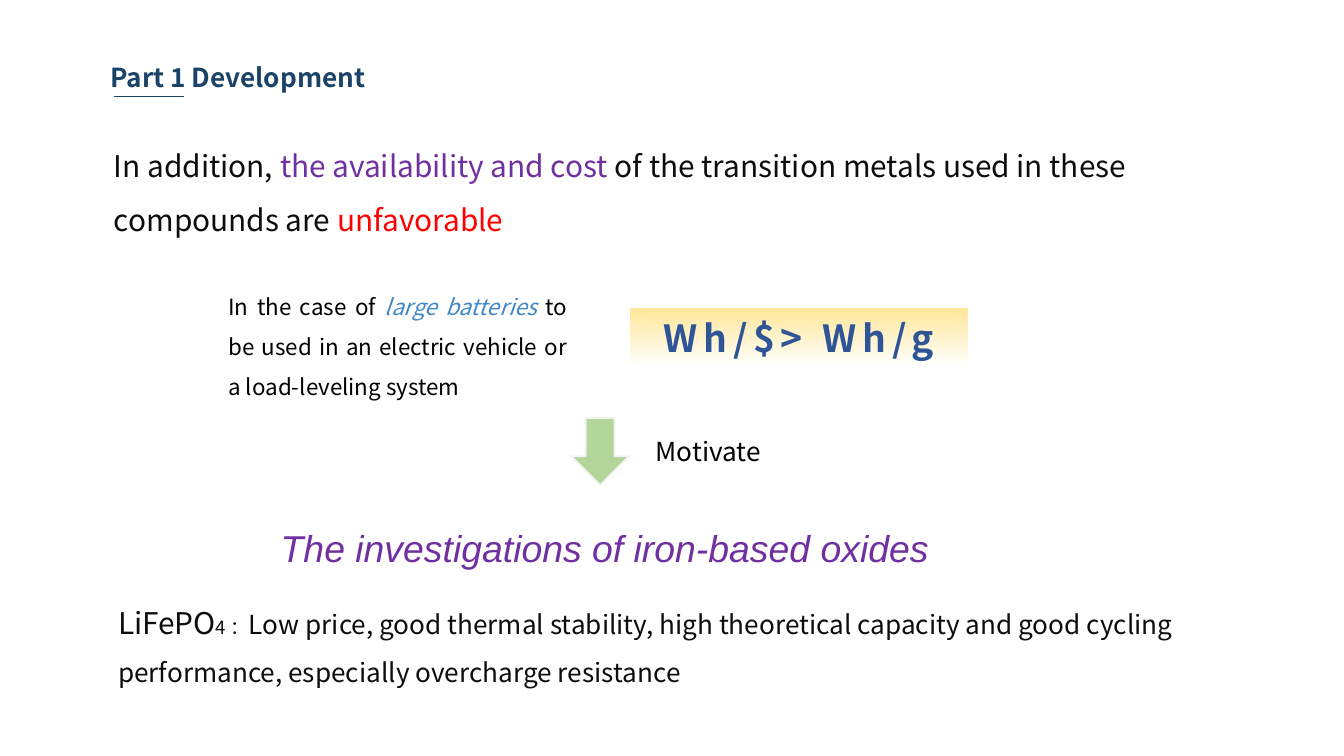
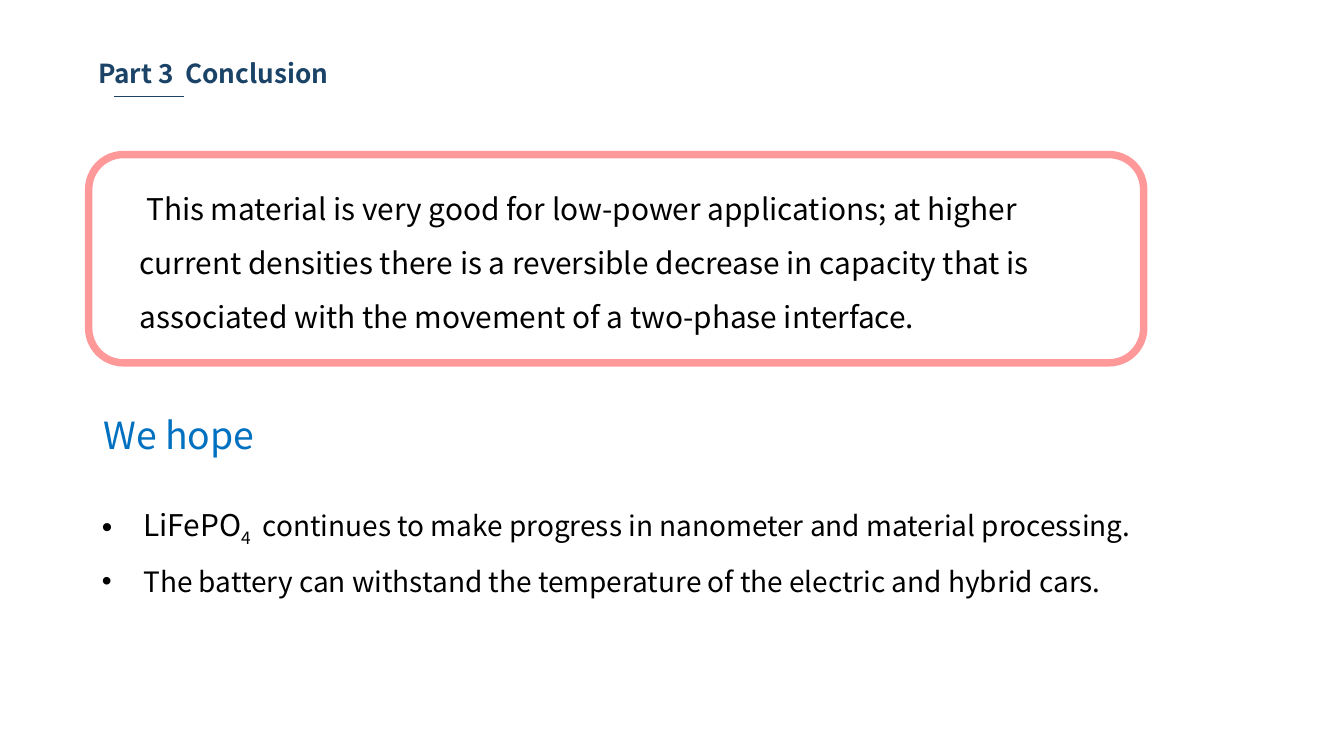
from dataclasses import dataclass

from lxml import etree
from pptx import Presentation
from pptx import util as u
from pptx.dml.color import RGBColor
from pptx.enum import shapes, text
from pptx.oxml import ns

COLORS = {
    "navy": "1B4367", "ink": "0D0D0D", "black": "000000", "purple": "7030A0",
    "red": "FF0000", "sky": "4287C6", "blue": "0070C0", "formula": "2F5597",
    "yellow": "FFE699", "white": "FFFFFF", "green": "A9D18E", "pale": "F2F2F2",
}
SANS = "Noto Sans CJK SC"
BULLET_INDENT = 0.31


@dataclass(frozen=True)
class Span:
    text: str
    size: float
    color: str = "black"
    font: str = SANS
    bold: bool = False
    italic: bool = False
    spacing: float = 0
    baseline: int = 0


@dataclass(frozen=True)
class Line:
    """One paragraph of styled spans."""
    spans: list[Span]
    spacing: float = 1.0
    align: text.PP_ALIGN = text.PP_ALIGN.LEFT
    bullet: bool = False
    first_indent: float = 0


@dataclass(frozen=True)
class Area:
    left: float
    top: float
    width: float
    height: float

    def lengths(self) -> list[u.Length]:
        return [u.Inches(side) for side in (self.left, self.top, self.width, self.height)]


def rgb(name: str) -> RGBColor:
    return RGBColor.from_string(COLORS[name])


def set_opacity(container, percent: int) -> None:
    """Make the solid colour found inside an XML element partly transparent."""
    color = container.find(".//" + ns.qn("a:srgbClr"))
    etree.SubElement(color, ns.qn("a:alpha")).set("val", str(percent * 1000))


def add_span(para, span: Span) -> None:
    run = para.add_run()
    run.text = span.text
    font = run.font
    font.size, font.name = u.Pt(span.size), span.font
    font.bold, font.italic = span.bold, span.italic
    font.color.rgb = rgb(span.color)
    properties = run._r.get_or_add_rPr()
    etree.SubElement(properties, ns.qn("a:ea")).set("typeface", span.font)
    if span.spacing:
        properties.set("spc", str(int(span.spacing * 100)))
    if span.baseline:
        properties.set("baseline", str(span.baseline * 1000))


def write_lines(frame, lines: list[Line]) -> None:
    for index, line in enumerate(lines):
        para = frame.add_paragraph() if index else frame.paragraphs[0]
        properties = para._p.get_or_add_pPr()
        if line.bullet:
            properties.set("marL", str(u.Inches(BULLET_INDENT)))
            properties.set("indent", str(-u.Inches(BULLET_INDENT)))
            etree.SubElement(properties, ns.qn("a:buFont")).set("typeface", "Arial")
            etree.SubElement(properties, ns.qn("a:buChar")).set("char", "•")
        elif line.first_indent:
            properties.set("indent", str(u.Inches(line.first_indent)))
        para.alignment = line.align
        para.line_spacing = line.spacing
        for span in line.spans:
            add_span(para, span)


def add_text(page, area: Area, lines: list[Line], inset: tuple[float, float] = (0.1, 0.05)) -> None:
    box = page.shapes.add_textbox(*area.lengths())
    frame = box.text_frame
    frame.word_wrap = True
    frame.margin_left = frame.margin_right = u.Inches(inset[0])
    frame.margin_top = frame.margin_bottom = u.Inches(inset[1])
    write_lines(frame, lines)


def add_plain_shape(page, kind: shapes.MSO_SHAPE, area: Area):
    shape = page.shapes.add_shape(kind, *area.lengths())
    shape.shadow.inherit = False
    return shape


def add_page(deck, title: list[Span], title_area: Area):
    """Add a blank slide with the part title and its short underline."""
    page = deck.slides.add_slide(deck.slide_layouts[6])
    rule = page.shapes.add_connector(
        shapes.MSO_CONNECTOR.STRAIGHT,
        u.Inches(0.85), u.Inches(0.72), u.Inches(1.37), u.Inches(0.72))
    rule.line.color.rgb = rgb("navy")
    rule.line.width = u.Pt(0.75)
    etree.SubElement(rule._element.spPr, ns.qn("a:effectLst"))
    add_text(page, title_area, [Line(title)], inset=(0.07, 0.04))
    return page


def title_span(words: str, spacing: float = 0) -> Span:
    return Span(words, 14, "navy", bold=True, spacing=spacing)


def add_formula(page) -> None:
    band = add_plain_shape(page, shapes.MSO_SHAPE.RECTANGLE, Area(4.69, 2.29, 2.51, 0.44))
    band.fill.gradient()
    band.fill.gradient_angle = 270
    for stop, color, position in zip(band.fill.gradient_stops, ("yellow", "white"), (0, 1)):
        stop.color.rgb = rgb(color)
        stop.position = position
    band.line.fill.background()
    band.text_frame.word_wrap = False
    formula = Span("Wh/$> Wh/g", 20, "formula", bold=True, spacing=3)
    write_lines(band.text_frame, [Line([formula], align=text.PP_ALIGN.CENTER)])


def add_arrow(page) -> None:
    arrow = add_plain_shape(page, shapes.MSO_SHAPE.DOWN_ARROW, Area(4.25, 3.11, 0.43, 0.5))
    arrow.fill.solid()
    arrow.fill.fore_color.rgb = rgb("green")
    set_opacity(arrow._element.spPr.find(ns.qn("a:solidFill")), 88)
    arrow.line.color.rgb = rgb("pale")
    arrow.line.width = u.Pt(1)


def add_frame(page) -> None:
    frame = add_plain_shape(page, shapes.MSO_SHAPE.ROUNDED_RECTANGLE, Area(0.66, 1.15, 7.85, 1.55))
    frame.fill.background()
    frame.line.color.rgb = rgb("red")
    frame.line.width = u.Pt(4)
    set_opacity(frame._element.spPr.find(ns.qn("a:ln")), 40)


def build_development(deck) -> None:
    page = add_page(deck, [title_span("Part 1 Development")], Area(0.75, 0.42, 9.34, 0.92))
    add_text(page, Area(0.75, 0.92, 8.06, 0.86), [Line([
        Span("In addition, ", 16, "ink"),
        Span("the availability and cost ", 16, "purple"),
        Span("of the transition metals used in these compounds are ", 16, "ink"),
        Span("unfavorable", 16, "red"),
    ], spacing=1.5)])
    add_text(page, Area(1.6, 2.03, 2.72, 0.97), [Line([
        Span("In the case of ", 12),
        Span("large batteries", 12, "sky", italic=True),
        Span(" to be used in an electric vehicle or a load-leveling system", 12),
    ], spacing=1.5, align=text.PP_ALIGN.JUSTIFY)])
    add_formula(page)
    add_text(page, Area(1.99, 3.86, 8.32, 0.44), [Line([
        Span("The investigations of iron-based oxides", 20, "purple", "Arial", italic=True)])])
    add_arrow(page)
    add_text(page, Area(4.78, 3.19, 1.96, 0.34), [Line([Span("Motivate", 14)])])
    add_text(page, Area(0.78, 4.32, 8.45, 0.82), [Line([
        Span("LiFePO", 16, "ink"),
        Span("4 ：", 10, "ink"),
        Span("Low price, good thermal stability, high theoretical capacity and good cycling "
             "performance, especially overcharge resistance", 14, "ink"),
    ], spacing=1.5)])


def build_conclusion(deck) -> None:
    title = [title_span("Part 3"), title_span(" ", spacing=3), title_span("Conclusion")]
    page = add_page(deck, title, Area(0.66, 0.39, 9.34, 0.65))
    add_text(page, Area(0.94, 1.24, 7.12, 1.3), [Line([
        Span("This material is very good for low-power applications; at higher current "
             "densities there is a reversible decrease in capacity that is associated "
             "with the movement of a two-phase interface.", 16),
    ], spacing=1.5, first_indent=0.05)])
    add_frame(page)
    add_text(page, Area(0.66, 3.57, 8.64, 0.84), [
        Line([
            Span("LiFePO", 16),
            Span("4", 16, spacing=3, baseline=-25),
            Span(" continues to make progress in nanometer and material processing.", 15),
        ], spacing=1.5, bullet=True),
        Line([
            Span("The battery can withstand the temperature of the electric and hybrid cars.", 15),
        ], spacing=1.5, bullet=True),
    ])
    add_text(page, Area(0.67, 3.02, 1.41, 0.44), [Line([Span("We hope", 20, "blue")])])


def main() -> None:
    deck = Presentation()
    deck.slide_width = u.Inches(10)
    deck.slide_height = deck.slide_width * 9 // 16
    build_development(deck)
    build_conclusion(deck)
    deck.save("out.pptx")


if __name__ == "__main__":
    main()
